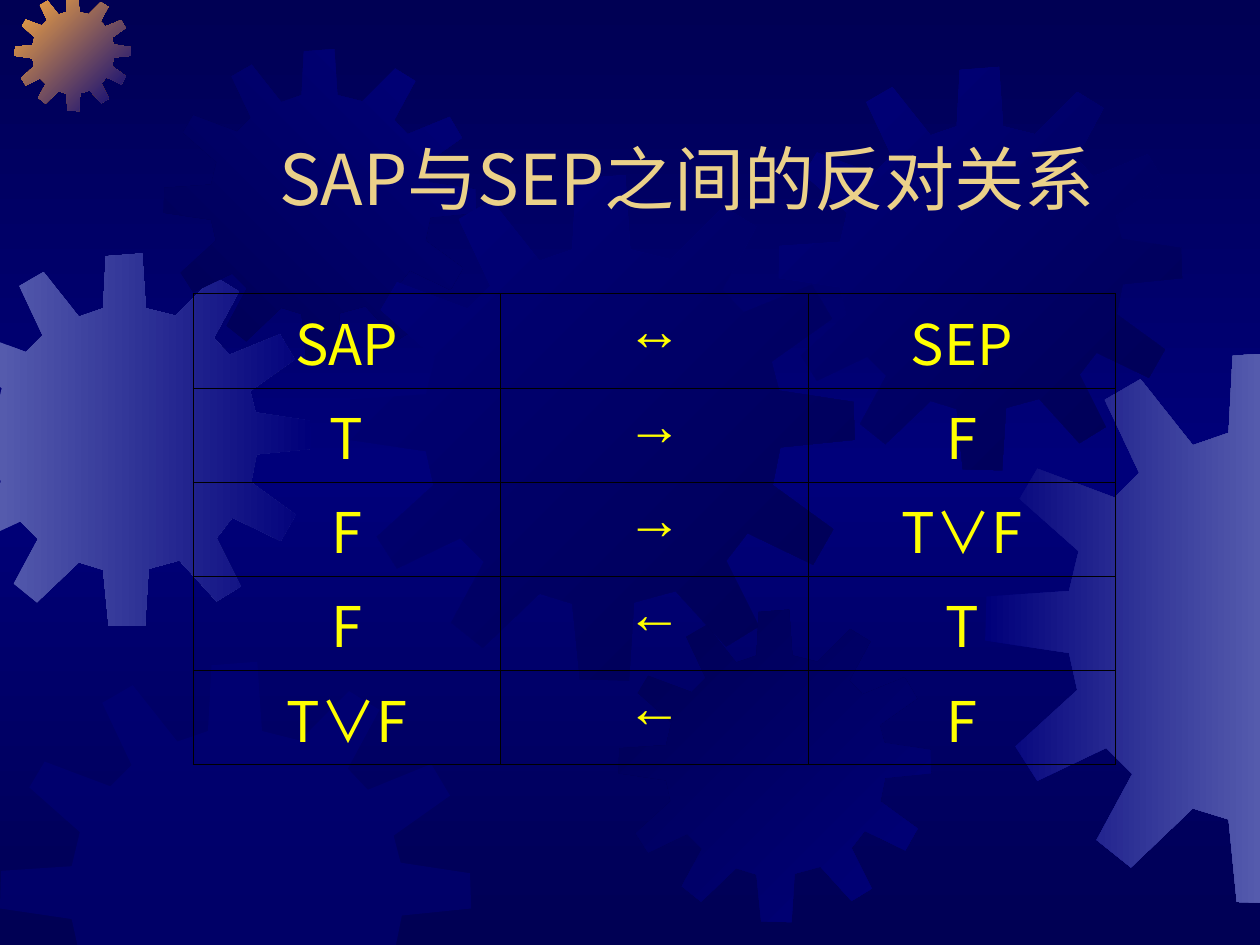
from copy import deepcopy
from dataclasses import dataclass

from lxml import etree
from pptx import Presentation
from pptx.dml.color import RGBColor
from pptx.enum.text import MSO_ANCHOR, MSO_AUTO_SIZE, PP_ALIGN
from pptx.oxml import parse_xml
from pptx.oxml.ns import nsdecls, qn
from pptx.util import Cm, Pt

CENTER = PP_ALIGN.CENTER
BOTTOM, TOP = MSO_ANCHOR.BOTTOM, MSO_ANCHOR.TOP
NO_FIT = MSO_AUTO_SIZE.NONE
WIDE, HIGH = 25.4, 19.05

SPAN = 401
GEAR = [
    (255, 67), (223, 59), (219, 0), (180, 3), (177, 59), (151, 68), (113, 20), (87, 35),
    (112, 88), (94, 106), (38, 85), (25, 107), (68, 145), (61, 174), (1, 178), (0, 210),
    (61, 219), (67, 246), (22, 287), (38, 312), (88, 288), (107, 307), (81, 355), (106, 375),
    (151, 332), (177, 340), (183, 400), (222, 401), (226, 339), (259, 330), (299, 374), (325, 358),
    (299, 306), (316, 284), (368, 309), (384, 281), (336, 246), (342, 216), (401, 210), (400, 180),
    (341, 171), (335, 148), (383, 114), (367, 87), (313, 109), (296, 91), (323, 41), (297, 25),
]


@dataclass(frozen=True)
class Theme:
    dark: str = "000054"
    navy: str = "00007A"
    mist: str = "555BAD"
    amber: str = "FCAB40"
    gold: str = "EBD189"
    yellow: str = "FFFF00"
    rule: str = "000000"
    face: str = "Noto Sans CJK SC"
    sign: str = "Arial"
    head: int = 40
    body: int = 32
    thin: float = 0.45


def apply(target, **values):
    for name, value in values.items():
        setattr(target, name, value)


def clip(points, axis, edge, sign):
    kept = []
    for here, past in zip(points, points[-1:] + points[:-1]):
        gap, old = (sign * (p[axis] - edge) for p in (here, past))
        if gap * old < 0:
            part = old / (old - gap)
            kept.append(tuple(a + part * (b - a) for a, b in zip(past, here)))
        if gap >= 0:
            kept.append(here)
    return kept


class Deck:
    """Holds the theme and the current slide, and draws each kind of element."""

    def __init__(self, theme):
        self.theme = theme
        self.show = Presentation()
        apply(self.show, slide_width=Cm(WIDE), slide_height=Cm(HIGH))
        self.slide = self.show.slides.add_slide(self.show.slide_layouts[5])

    def blend(self, owner, fill, colors, angle):
        fill.gradient()
        fill.gradient_angle = -angle % 360
        stops = next(owner.iter(qn("a:gsLst")))
        for _ in colors[2:]:
            stops.append(deepcopy(stops[0]))
        for i, (stop, color) in enumerate(zip(fill.gradient_stops, colors)):
            stop.position = i / (len(colors) - 1)
            stop.color.rgb = RGBColor.from_string(color)

    def back(self, colors, angle):
        self.blend(self.slide.element, self.slide.background.fill, colors, angle)

    def gear(self, left, top, size, colors, angle=0, alpha=100):
        unit = size / SPAN
        points = [(left + x * unit, top + y * unit) for x, y in GEAR]
        for side in ((0, 0, 1), (0, WIDE, -1), (1, 0, 1), (1, HIGH, -1)):
            points = clip(points, *side)
        start, *rest = [(Cm(x), Cm(y)) for x, y in points]
        pen = self.slide.shapes.build_freeform(*start, scale=1.0)
        pen.add_line_segments(rest, close=True)
        shape = pen.convert_to_shape()
        shape.shadow.inherit = False
        shape.line.fill.background()
        if len(colors) > 1:
            self.blend(shape.element, shape.fill, colors, angle)
            return
        shape.fill.solid()
        shape.fill.fore_color.rgb = RGBColor.from_string(colors[0])
        tint = next(shape.element.iter(qn("a:srgbClr")))
        etree.SubElement(tint, qn("a:alpha")).set("val", str(alpha * 1000))

    def label(self, frame, text, face, size, color):
        para = frame.paragraphs[0]
        para.alignment = CENTER
        run = para.add_run()
        run.text = text
        apply(run.font, name=face, size=Pt(size), bold=False)
        run.font.color.rgb = RGBColor.from_string(color)

    def match(self, owner):
        for latin in owner.iter(qn("a:latin")):
            face = latin.get("typeface")
            latin.addnext(parse_xml(f'<a:ea {nsdecls("a")} typeface="{face}"/>'))

    def title(self, text, left, top, width, height):
        theme, shape = self.theme, self.slide.shapes.title
        apply(shape, left=Cm(left), top=Cm(top), width=Cm(width), height=Cm(height))
        frame = shape.text_frame
        apply(frame, word_wrap=True, auto_size=NO_FIT, vertical_anchor=BOTTOM,
              margin_left=0, margin_right=0, margin_top=0, margin_bottom=0)
        self.label(frame, text, theme.face, theme.head, theme.gold)
        self.match(shape.element)
        shape.element.getparent().append(shape.element)

    def table(self, rows, left, top, width, height):
        theme, wide, high = self.theme, len(rows[0]), len(rows)
        frame = self.slide.shapes.add_table(
            high, wide, Cm(left), Cm(top), Cm(width * wide), Cm(height * high))
        grid = frame.table
        apply(grid, first_row=False, horz_banding=False)
        for r, row in enumerate(rows):
            for c, text in enumerate(row):
                cell = grid.cell(r, c)
                apply(cell, margin_left=Cm(0.18), margin_right=Cm(0.18),
                      margin_top=Cm(0.13), margin_bottom=Cm(0.13), vertical_anchor=TOP)
                cell.fill.background()
                face = theme.sign if c == 1 else theme.face
                self.label(cell.text_frame, text, face, theme.body, theme.yellow)
        self.match(frame.element)
        for node in frame.element.iter(qn("a:tcPr")):
            for i, side in enumerate("LRTB"):
                node.insert(i, parse_xml(
                    f'<a:ln{side} {nsdecls("a")} w="{Pt(theme.thin)}"><a:solidFill>'
                    f'<a:srgbClr val="{theme.rule}"/></a:solidFill></a:ln{side}>'))


def main():
    theme = Theme()
    deck = Deck(theme)
    rise, fall = (theme.dark, theme.navy), (theme.navy, theme.dark)
    deck.back((theme.dark, theme.navy, theme.dark), 90)
    deck.gear(-1.24, 5.11, 7.52, (theme.mist, theme.navy))
    deck.gear(0.3, -0.1, 2.34, (theme.amber, theme.navy), 45)
    deck.gear(3.3, 0.99, 6.3, rise, 315)
    deck.gear(7.04, 3.53, 10.19, fall, 45)
    deck.gear(0, 13.34, 9.5, (theme.navy,), alpha=50)
    deck.gear(12.47, 12.29, 6.3, rise, 45)
    deck.gear(15.7, 1.35, 8.13, fall, 45)
    deck.gear(19.86, 7.09, 11.12, (theme.navy, theme.mist))
    deck.title("SAP与SEP之间的反对关系", 3.05, 2.72, 21.59, 1.7)
    deck.table([
        ("SAP", "↔", "SEP"),
        ("T", "→", "F"),
        ("F", "→", "T∨F"),
        ("F", "←", "T"),
        ("T∨F", "←", "F"),
    ], 3.89, 5.92, 6.2, 1.89)
    deck.show.save("out.pptx")


if __name__ == "__main__":
    main()
